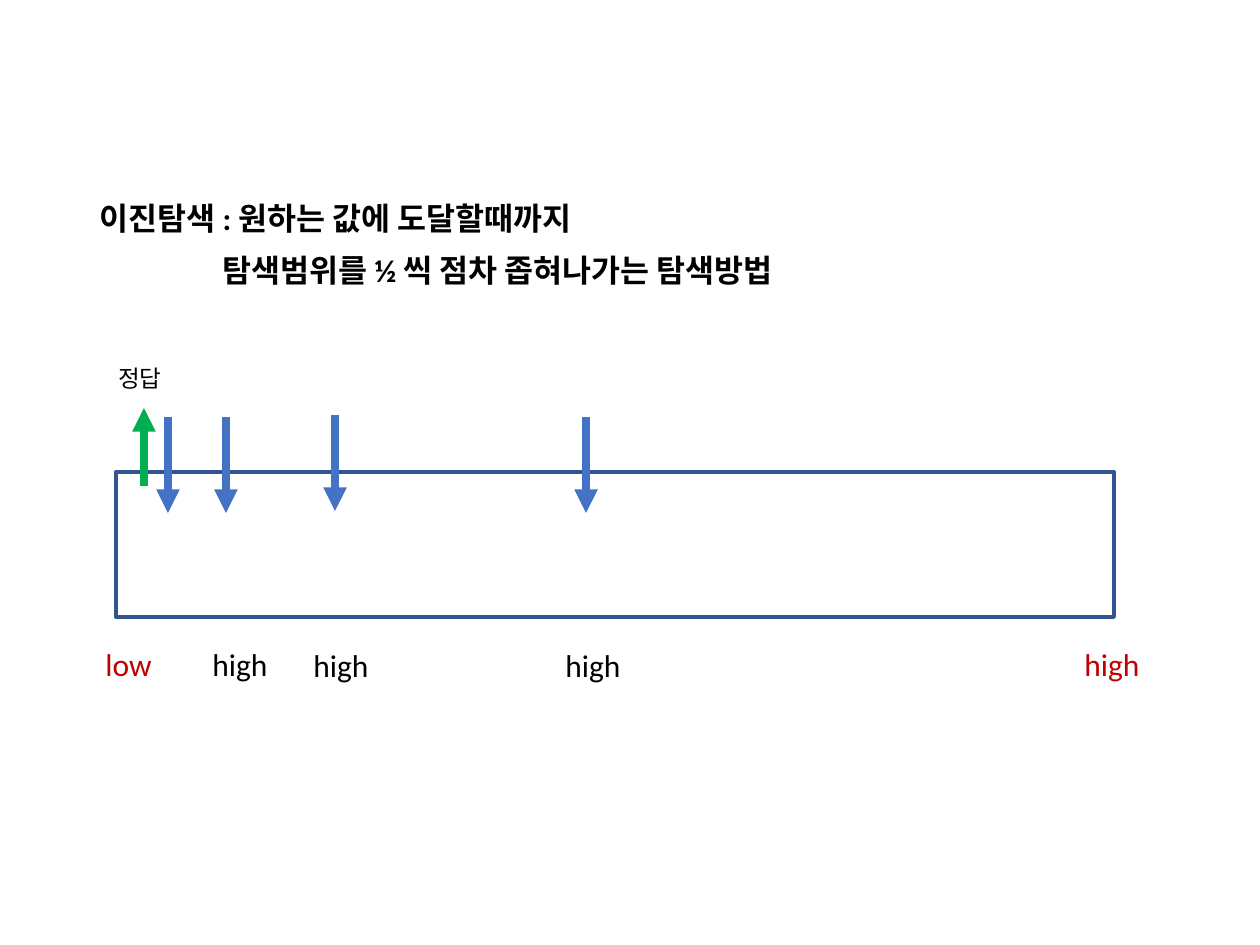
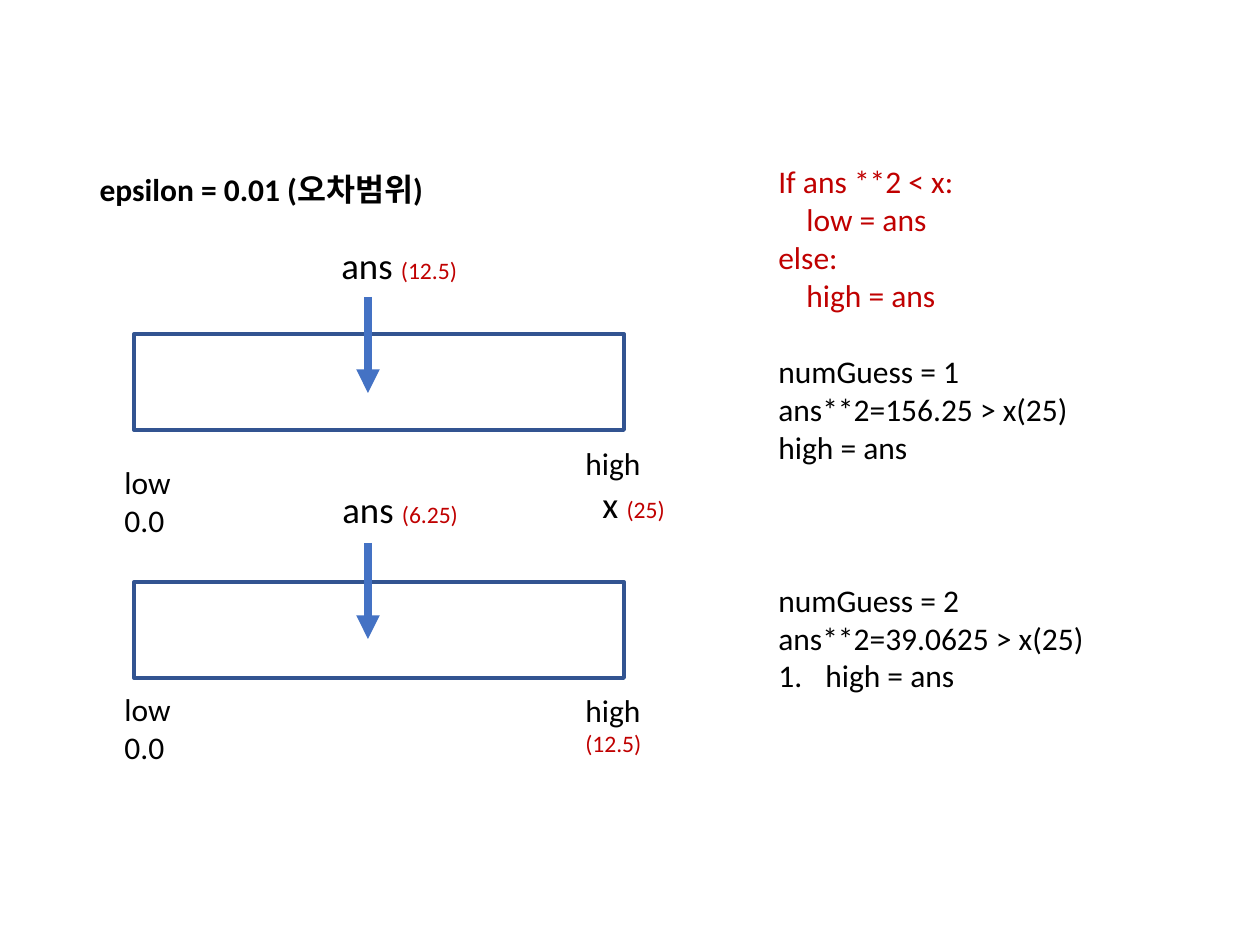
from dataclasses import dataclass

from lxml import etree
from pptx import Presentation
from pptx import util as u
from pptx.dml.color import RGBColor
from pptx.enum import shapes, text
from pptx.oxml.ns import qn

BLACK, RED, GREEN = "000000", "C00000", "00B050"
BLUE, NAVY, WHITE = "4472C4", "325491", "FFFFFF"
FONT = "Calibri"
BODY, SMALL, LARGE = 18, 13.5, 21
LINE = 22  # height of one body line, in points


def rgb(value):
    return RGBColor.from_string(value)


def px(n):
    return u.Emu(round(n * 914400 / 126))


@dataclass
class Run:
    text: str
    size: float = BODY
    color: str = BLACK
    bold: bool = False


@dataclass
class Para:
    runs: list
    indent: int = 0
    before: float = 0
    numbered: bool = False


def line(words, color=BLACK, **options):
    return Para([Run(words, color=color)], **options)


class Deck:
    def __init__(self):
        self.prs = Presentation()
        self.prs.slide_width, self.prs.slide_height = u.Inches(10), u.Inches(7.5)
        self.s = None

    def slide(self):
        self.s = self.prs.slides.add_slide(self.prs.slide_layouts[5])

    def fill_text(self, tf, paras):
        for i, para in enumerate(paras):
            p = tf.paragraphs[0] if i == 0 else tf.add_paragraph()
            p.alignment = text.PP_ALIGN.LEFT
            p.space_before = u.Pt(para.before)
            pPr = p._p.get_or_add_pPr()
            pPr.set("marL", str(px(para.indent)))
            if para.numbered:
                pPr.set("indent", str(-px(para.indent)))
                etree.SubElement(pPr, qn("a:buAutoNum"), type="arabicPeriod")
            for run in para.runs:
                r = p.add_run()
                r.text = run.text
                r.font.name, r.font.size = FONT, u.Pt(run.size)
                r.font.bold = run.bold
                r.font.color.rgb = rgb(run.color)

    def title(self, y, h, lines):
        """Heading from (words, indent) pairs."""
        sp = self.s.shapes.title
        sp.left, sp.top, sp.width, sp.height = px(87), px(y), px(1086), px(h)
        tf = sp.text_frame
        tf.word_wrap = True
        tf.auto_size = text.MSO_AUTO_SIZE.NONE
        tf.vertical_anchor = text.MSO_ANCHOR.TOP
        self.fill_text(tf, [Para([Run(words, bold=True)], indent, before=10)
                            for words, indent in lines])
        for p in tf.paragraphs:
            p.line_spacing = 0.9

    def text(self, x, y, w, h, paras, anchor=text.MSO_ANCHOR.TOP):
        tf = self.s.shapes.add_textbox(px(x), px(y), px(w), px(h)).text_frame
        tf.word_wrap = True
        tf.auto_size = text.MSO_AUTO_SIZE.SHAPE_TO_FIT_TEXT
        tf.vertical_anchor = anchor
        self.fill_text(tf, paras)

    def bar(self, x, y, w, h, fill=None):
        sp = self.s.shapes.add_shape(shapes.MSO_SHAPE.RECTANGLE,
                                     px(x), px(y), px(w), px(h))
        sp.shadow.inherit = False
        if fill:
            sp.fill.solid()
            sp.fill.fore_color.rgb = rgb(fill)
        else:
            sp.fill.background()
        sp.line.color.rgb = rgb(NAVY)
        sp.line.width = u.Pt(2.25)

    def arrow(self, x, y, length=96, color=BLUE):
        """Vertical arrow; a negative length points up."""
        sp = self.s.shapes.add_connector(shapes.MSO_CONNECTOR.STRAIGHT,
                                         px(x), px(y), px(x), px(y + length))
        sp.line.color.rgb = rgb(color)
        sp.line.width = u.Pt(4.5)
        spPr = sp._element.spPr
        etree.SubElement(spPr.find(qn("a:ln")), qn("a:tailEnd"), type="triangle")
        etree.SubElement(spPr, qn("a:effectLst"))


deck = Deck()

# Slide 1: the range is halved until the answer is reached
deck.slide()
deck.title(197, 559, [("이진탐색 : 원하는 값에 도달할때까지", 0),
                      ("탐색범위를 ½ 씩 점차 좁혀나가는 탐색방법", 123)])
deck.bar(116, 472, 998, 145)
for x, y in [(586, 417), (335, 415), (168, 417), (226, 417)]:
    deck.arrow(x, y)
for x, y, word, color in [(93, 639, "low", RED), (1072, 639, "high", RED),
                          (553, 640, "high", BLACK), (301, 640, "high", BLACK),
                          (200, 639, "high", BLACK)]:
    deck.text(x, y, 101, 50, [line(word, color)])
deck.arrow(144, 486, -78, GREEN)
deck.text(106, 358, 123, 42, [Para([Run("정답", SMALL)])])

# Slide 2: two guesses of a square root
deck.slide()
deck.title(168, 588, [("epsilon = 0.01 (오차범위)", 0)])

# Code and the result of each guess
deck.text(766, 156, 440, 547, [
    line("If ans **2 < x:", RED),
    line("low = ans", RED, indent=28),
    line("else:", RED),
    line("high = ans", RED, indent=28),
    line("numGuess = 1", before=LINE),
    line("ans**2=156.25 > x(25)"),
    line("high = ans"),
    line("numGuess = 2", before=3 * LINE),
    line("ans**2=39.0625 > x(25)"),
    line("high = ans", indent=47, numbered=True),
])

# Search range of each guess: bar, arrow, guess and lower end
for bar_y, arrow_y, ans_x, ans_y, ans_w, guess, low_y in [
        (334, 297, 329, 207, 171, "(12.5)", 457),
        (582, 543, 330, 451, 197, "(6.25)", 684)]:
    deck.bar(134, bar_y, 490, 96, WHITE)
    deck.arrow(368, arrow_y)
    deck.text(ans_x, ans_y, ans_w, 86,
              [Para([Run("ans ", LARGE), Run(guess, SMALL, RED)])],
              text.MSO_ANCHOR.BOTTOM)
    deck.text(112, low_y, 101, 89, [line("low"), line("0.0")])

# Upper ends
deck.text(573, 438, 123, 96, [
    line("high"), Para([Run("x ", LARGE), Run("(25)", SMALL, RED)], indent=17)])
deck.text(573, 685, 139, 79, [line("high"), Para([Run("(12.5)", SMALL, RED)])])

deck.prs.save("out.pptx")
